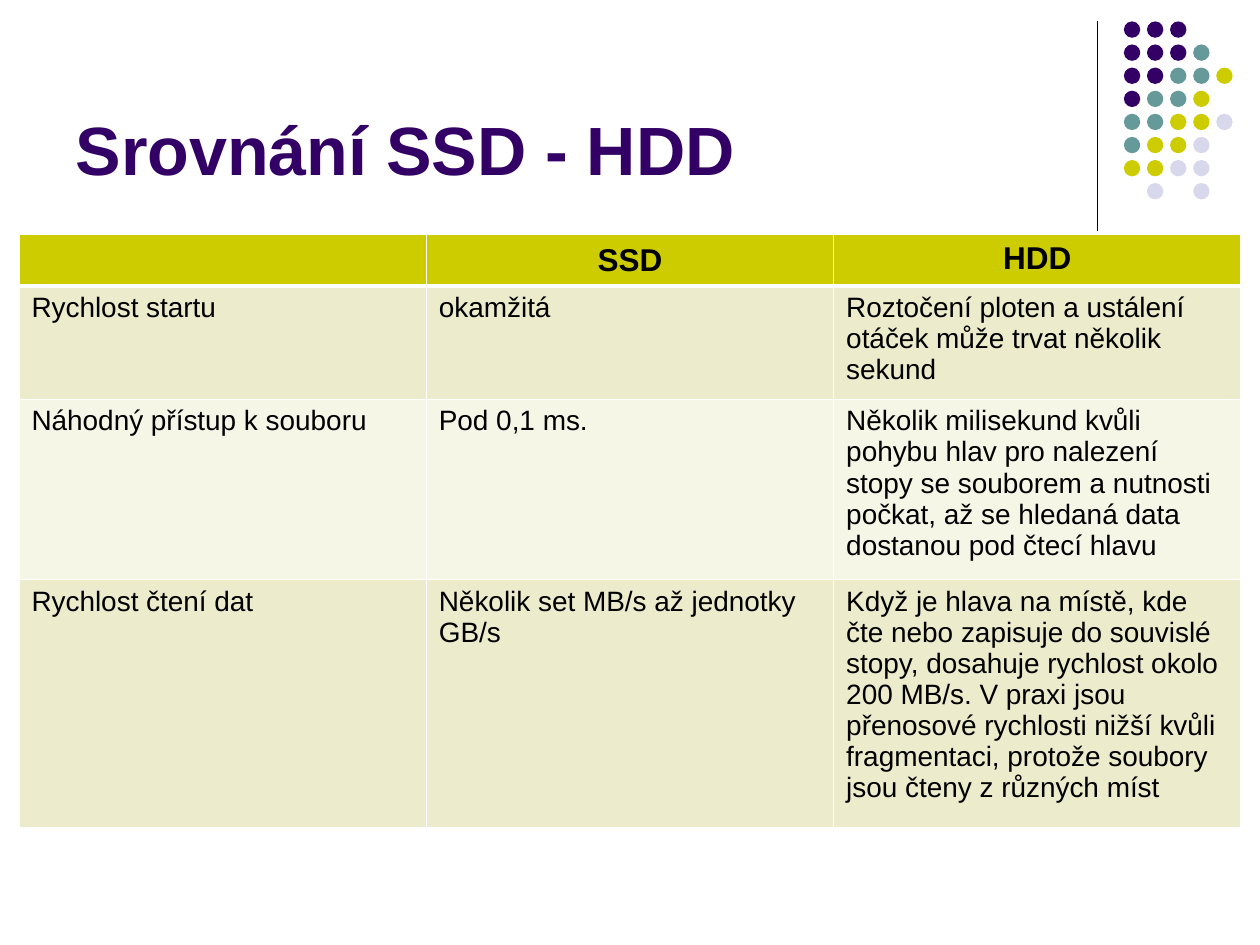
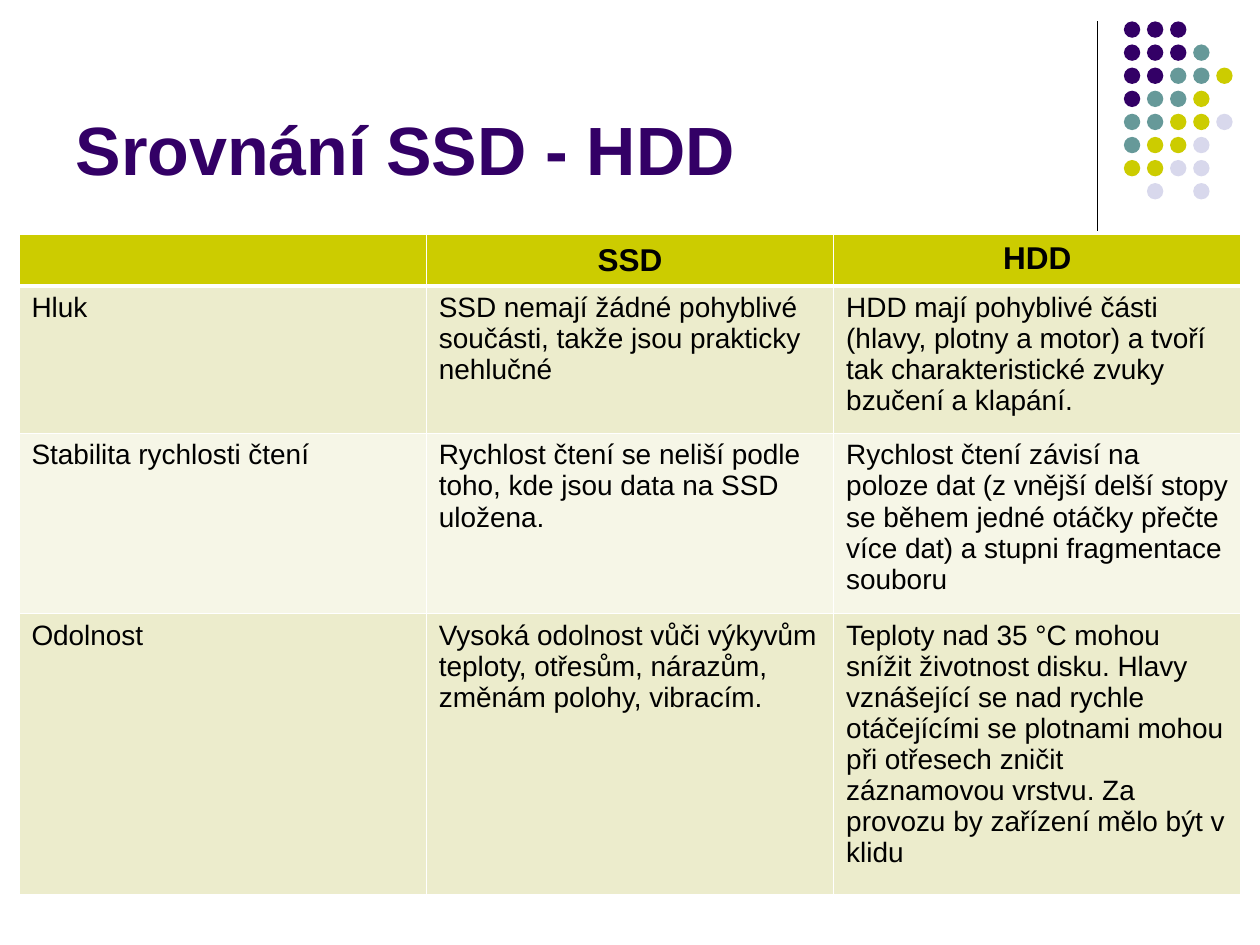
from lxml import etree
from pptx import Presentation
from pptx import util as u
from pptx.dml.color import RGBColor
from pptx.enum import shapes, text
from pptx.oxml.ns import qn

FONT = "Arial"
PURPLE, TEAL, LIME, LILAC = "330066", "669999", "CCCC00", "D8D8EC"
BLACK, WHITE = "000000", "FFFFFF"
BANDS = ("ECECCC", "F6F6E7")

TITLE = "Srovnání SSD - HDD"
HEADER = ("", "SSD", "HDD")
COMPARISONS = [
    {
        "heights": (0.41, 0.9, 1.43, 1.97),
        "rows": [
            ("Rychlost startu", "okamžitá",
             "Roztočení ploten a ustálení otáček může trvat několik sekund"),
            ("Náhodný přístup k souboru", "Pod 0,1 ms.",
             "Několik milisekund kvůli pohybu hlav pro nalezení stopy se souborem "
             "a nutnosti počkat, až se hledaná data dostanou pod čtecí hlavu"),
            ("Rychlost čtení dat", "Několik set MB/s až jednotky GB/s",
             "Když je hlava na místě, kde čte nebo zapisuje do souvislé stopy, "
             "dosahuje rychlost okolo 200 MB/s. V praxi jsou přenosové rychlosti "
             "nižší kvůli fragmentaci, protože soubory jsou čteny z různých míst"),
        ],
    },
    {
        "heights": (0.41, 1.17, 1.43, 2.23),
        "rows": [
            ("Hluk",
             "SSD nemají žádné pohyblivé součásti, takže jsou prakticky nehlučné",
             "HDD mají pohyblivé části (hlavy, plotny a motor) a tvoří tak "
             "charakteristické zvuky bzučení a klapání."),
            ("Stabilita rychlosti čtení",
             "Rychlost čtení se neliší podle toho, kde jsou data na SSD uložena.",
             "Rychlost čtení závisí na poloze dat (z vnější delší stopy se během "
             "jedné otáčky přečte více dat) a stupni fragmentace souboru"),
            ("Odolnost",
             "Vysoká odolnost vůči výkyvům teploty, otřesům, nárazům, změnám "
             "polohy, vibracím.",
             "Teploty nad 35 °C mohou snížit životnost disku. Hlavy vznášející se "
             "nad rychle otáčejícími se plotnami mohou při otřesech zničit "
             "záznamovou vrstvu. Za provozu by zařízení mělo být v klidu"),
        ],
    },
]

# One string per row of dots, one letter per column
DOTS = ("PPP", "PPPT", "PPTTL", "PTTL", "TTLLV", "TLLV", "LLVV", " V V")
DOT_COLORS = {"P": PURPLE, "T": TEAL, "L": LIME, "V": LILAC}
DOT_LEFT, DOT_TOP, DOT_SIZE, DOT_PITCH = 8.92, 0.17, 0.13, 0.55 / 3


def rgb(color):
    return RGBColor.from_string(color)


def paint(fill, color):
    fill.solid()
    fill.fore_color.rgb = rgb(color)


def write(tf, words, size, color, bold):
    p = tf.paragraphs[0]
    r = p.add_run()
    r.text = words
    r.font.name = FONT
    r.font.size = u.Pt(size)
    r.font.bold = bold
    r.font.color.rgb = rgb(color)
    return p


def add_title(s):
    sp = s.shapes.title
    sp.left, sp.top = u.Inches(0.5), u.Inches(0.13)
    sp.width, sp.height = u.Inches(8.25), u.Inches(1.42)
    tf = sp.text_frame
    tf.word_wrap = True
    tf.vertical_anchor = text.MSO_ANCHOR.BOTTOM
    write(tf, TITLE, 39, PURPLE, True).alignment = text.PP_ALIGN.LEFT


def add_corner(s):
    """Draw the vertical rule and the dot pattern beside it."""
    x = u.Inches(8.71)
    rule = s.shapes.add_connector(shapes.MSO_CONNECTOR.STRAIGHT,
                                  x, u.Inches(0.17), x, u.Inches(1.83))
    rule.line.color.rgb = rgb(BLACK)
    rule.line.width = u.Pt(0.75)
    etree.SubElement(rule._element.spPr, qn("a:effectLst"))

    pattern = s.shapes.add_group_shape()
    size = u.Inches(DOT_SIZE)
    for i, line in enumerate(DOTS):
        for j, letter in enumerate(line):
            if letter == " ":
                continue
            dot = pattern.shapes.add_shape(
                shapes.MSO_SHAPE.OVAL, u.Inches(DOT_LEFT + j * DOT_PITCH),
                u.Inches(DOT_TOP + i * DOT_PITCH), size, size)
            dot.shadow.inherit = False
            paint(dot.fill, DOT_COLORS[letter])
            dot.line.fill.background()


def set_borders(cell, top, bottom):
    """Give the cell white borders; call before its fill is set."""
    tcPr = cell._tc.get_or_add_tcPr()
    for side, points in (("L", 1), ("R", 1), ("T", top), ("B", bottom)):
        ln = etree.SubElement(tcPr, qn(f"a:ln{side}"), w=str(u.Pt(points)))
        fill = etree.SubElement(ln, qn("a:solidFill"))
        etree.SubElement(fill, qn("a:srgbClr"), val=WHITE)


def add_comparison(s, comparison):
    heights = comparison["heights"]
    rows = [HEADER] + comparison["rows"]
    table = s.shapes.add_table(
        len(rows), len(HEADER), u.Inches(0.15), u.Inches(1.86),
        u.Inches(9.7), u.Inches(sum(heights))).table
    for i, (row, height) in enumerate(zip(rows, heights)):
        table.rows[i].height = u.Inches(height)
        header = i == 0
        for j, words in enumerate(row):
            cell = table.cell(i, j)
            set_borders(cell, 3 if i == 1 else 1, 3 if header else 1)
            paint(cell.fill, LIME if header else BANDS[(i - 1) % 2])
            if not words:
                continue
            p = write(cell.text_frame, words, 18 if header else 16, BLACK, header)
            if header:
                p.alignment = text.PP_ALIGN.CENTER
    table.cell(0, 1).vertical_anchor = text.MSO_ANCHOR.MIDDLE


def main():
    prs = Presentation()
    prs.slide_width, prs.slide_height = u.Inches(10), u.Inches(7.5)
    for comparison in COMPARISONS:
        s = prs.slides.add_slide(prs.slide_layouts[5])
        add_corner(s)
        add_title(s)
        add_comparison(s, comparison)
    prs.save("out.pptx")


if __name__ == "__main__":
    main()
